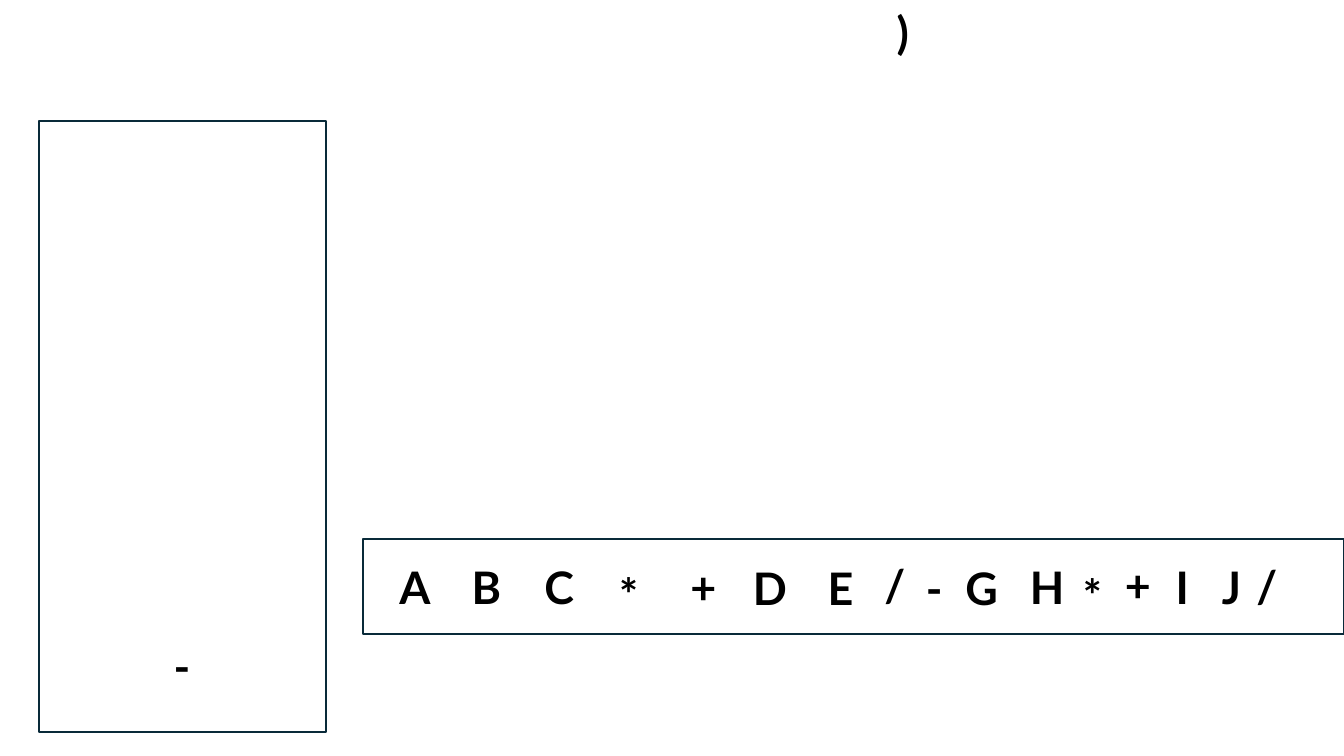
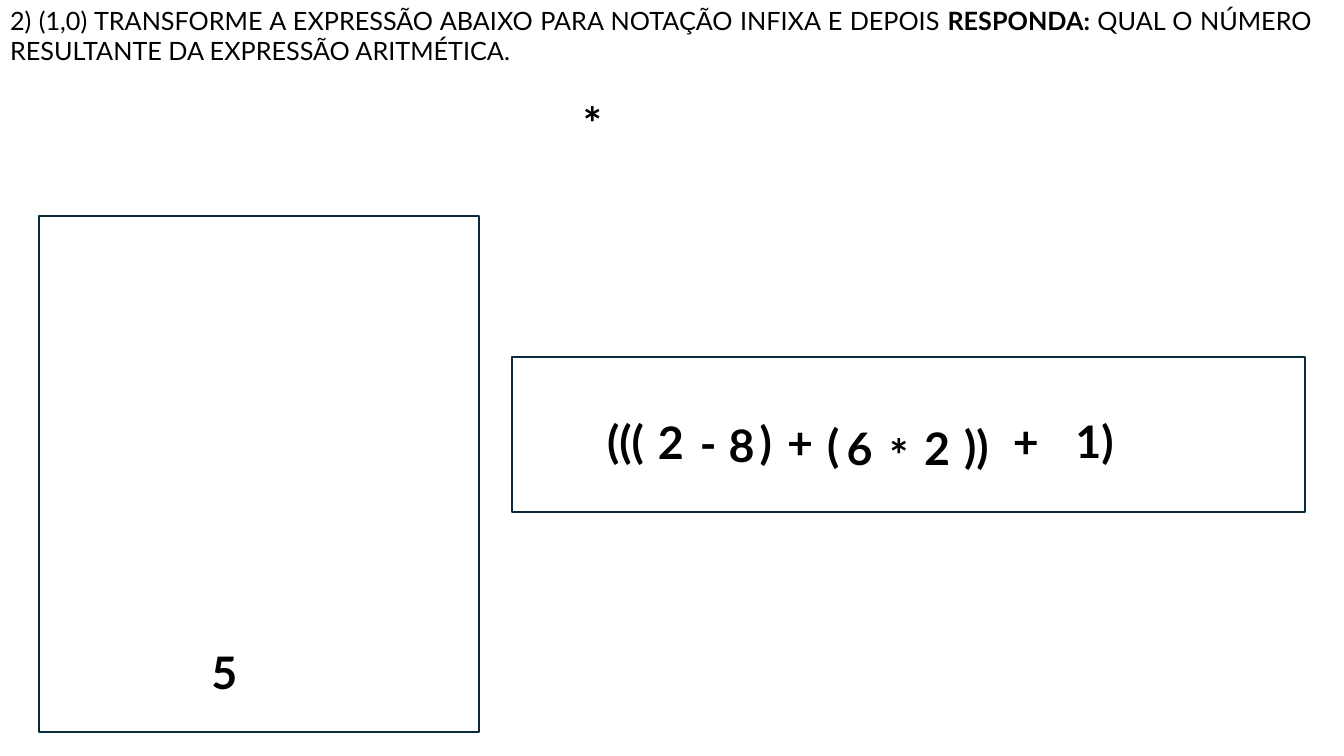
"""Build two slides on postfix and infix expressions, each with a stack and an output box."""
from pptx import Presentation, util as u
from pptx.dml.color import RGBColor
from pptx.enum import shapes, text

PX = 9144
INK = RGBColor(0x00, 0x00, 0x00)
PAPER = RGBColor(0xFF, 0xFF, 0xFF)
EDGE = RGBColor(0x09, 0x2A, 0x39)
FONT = "Lato"
WIDE, HIGH = 1333, 750
CELL = (69, 64)
CENTER, JUSTIFY = text.PP_ALIGN.CENTER, text.PP_ALIGN.JUSTIFY

SLIDES = [
    {
        "title": {"at": (861, 0, *CELL), "runs": [(")", True)],
                  "size": 32, "align": CENTER},
        "boxes": [(39, 120, 284, 606), (360, 535, 973, 94)],
        "marks": [
            ("-", 146, 629),
            ("A", 377, 550), ("B", 448, 550), ("C", 520, 550),
            ("*", 589, 557), ("+", 663, 550), ("D", 729, 551),
            ("E", 799, 551), ("/", 853, 548), ("-", 892, 551),
            ("G", 939, 551), ("H", 1004, 550), ("*", 1049, 558),
            ("+", 1094, 548), ("I", 1138, 550), ("J", 1187, 550),
            ("/", 1222, 549),
        ],
    },
    {
        "title": {
            "at": (0, 0, 1311, 70),
            "runs": [
                ("2) (1,0) TRANSFORME A EXPRESSÃO ABAIXO PARA NOTAÇÃO INFIXA E DEPOIS ", False),
                ("RESPONDA:", True),
                (" QUAL O NÚMERO RESULTANTE DA EXPRESSÃO ARITMÉTICA.", False),
            ],
            "size": 18, "align": JUSTIFY},
        "boxes": [(39, 214, 436, 512), (508, 354, 786, 154)],
        "marks": [
            ("*", 553, 90), ("5", 188, 635),
            ("(((", 586, 406), ("2", 631, 407), ("-", 668, 408),
            ("8", 701, 409), (")", 725, 407), ("+", 759, 407),
            ("(", 792, 409), ("6", 818, 412), ("*", 857, 419),
            ("2", 895, 412), ("))", 934, 411), ("+", 983, 406),
            ("1)", 1051, 406),
        ],
    },
]


def emu(*nums):
    return [u.Emu(n * PX) for n in nums]


def write(shape, runs, size, align):
    frame = shape.text_frame
    frame.word_wrap = True
    frame.auto_size = text.MSO_AUTO_SIZE.NONE
    frame.vertical_anchor = text.MSO_ANCHOR.TOP
    para = frame.paragraphs[0]
    para.alignment = align
    font = para.font
    font.name, font.size, font.color.rgb = FONT, u.Pt(size), INK
    for words, bold in runs:
        run = para.add_run()
        run.text, run.font.bold = words, bold


def add_title(slide, at, runs, size, align):
    title = slide.shapes.title
    title.left, title.top, title.width, title.height = emu(*at)
    write(title, runs, size, align)


def add_box(slide, at):
    box = slide.shapes.add_shape(shapes.MSO_SHAPE.RECTANGLE, *emu(*at))
    box.shadow.inherit = False
    box.fill.solid()
    box.fill.fore_color.rgb = PAPER
    box.line.color.rgb = EDGE
    box.line.width = u.Pt(1.5)


def add_mark(slide, sign, left, top):
    mark = slide.shapes.add_textbox(*emu(left, top, *CELL))
    write(mark, [(sign, True)], 32, CENTER)


def main():
    deck = Presentation()
    deck.slide_width, deck.slide_height = emu(WIDE, HIGH)
    for page in SLIDES:
        slide = deck.slides.add_slide(deck.slide_layouts[5])
        add_title(slide, **page["title"])
        for at in page["boxes"]:
            add_box(slide, at)
        for mark in page["marks"]:
            add_mark(slide, *mark)
    deck.save("out.pptx")


if __name__ == "__main__":
    main()
